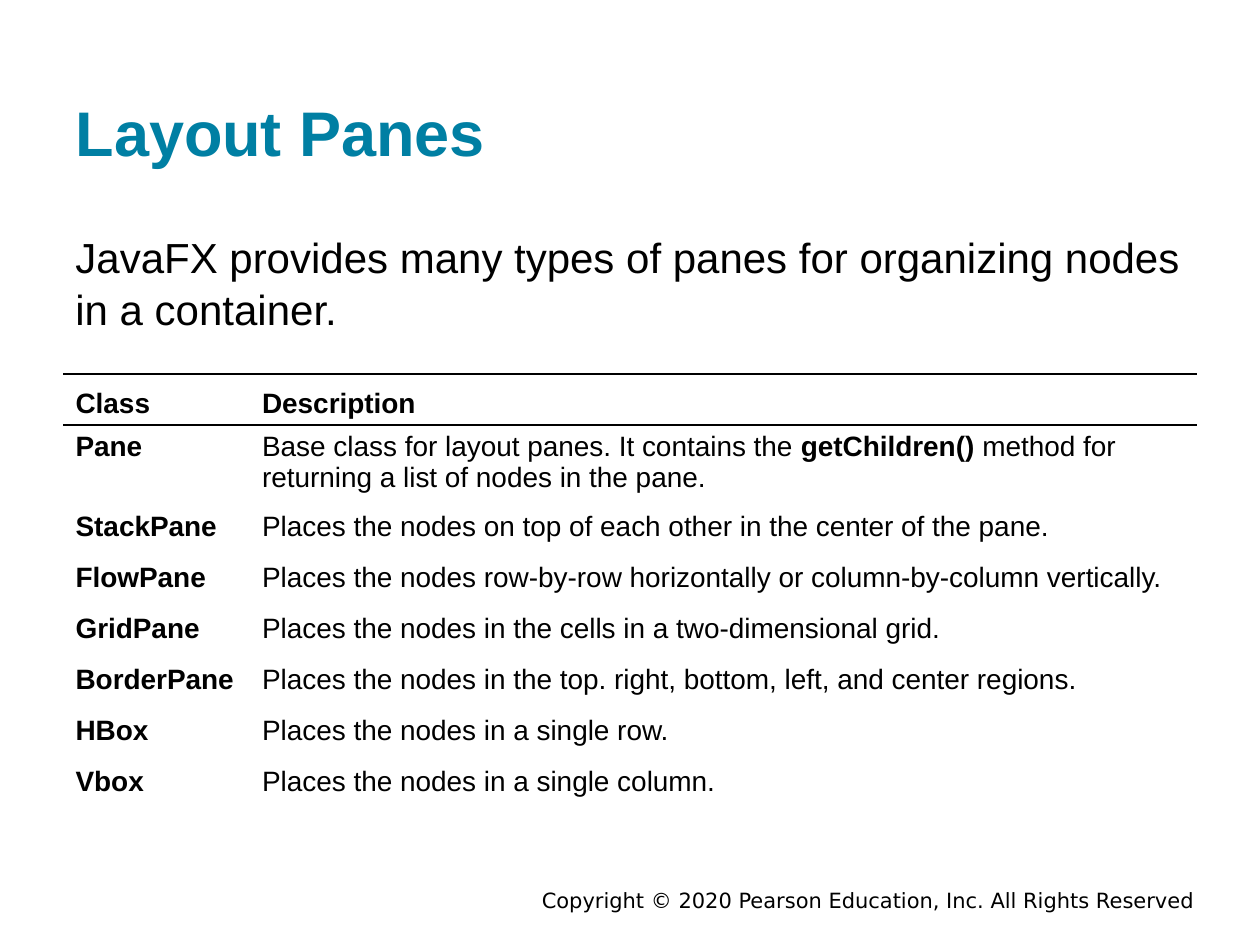
from lxml.etree import SubElement
from pptx import Presentation
from pptx.dml.color import RGBColor as RGB
from pptx.enum.text import MSO_ANCHOR as ANCHOR, PP_ALIGN as ALIGN
from pptx.oxml.ns import qn
from pptx.util import Inches, Pt

COLORS = {"title": "007FA3", "text": "000000", "paper": "FFFFFF"}
ROWS = [
    ("Class", "Description"),
    ("Pane", "Base class for layout panes. It contains the **getChildren() **method for"
             "\vreturning a list of nodes in the pane."),
    ("StackPane", "Places the nodes on top of each other in the center of the pane."),
    ("FlowPane", "Places the nodes row-by-row horizontally or column-by-column vertically."),
    ("GridPane", "Places the nodes in the cells in a two-dimensional grid."),
    ("BorderPane", "Places the nodes in the top. right, bottom, left, and center regions."),
    ("HBox", "Places the nodes in a single row."),
    ("Vbox", "Places the nodes in a single column."),
]
LEFT, WIDTH = Inches(0.5), Inches(9)
ROW_H = Inches(0.405)


def set_font(p, size, color="text", name="Arial", bold=False):
    p.font.size, p.font.name, p.font.bold = Pt(size), name, bold
    p.font.color.rgb = RGB.from_string(COLORS[color])


def set_borders(cell, ruled):
    """Black rules on the sides named in ruled, no line elsewhere."""
    pr = cell._tc.get_or_add_tcPr()
    for i, side in enumerate("LRTB"):
        ln = SubElement(pr, qn(f"a:ln{side}"), w=str(Pt(1)))
        if side in ruled:
            fill = SubElement(ln, qn("a:solidFill"))
            SubElement(fill, qn("a:srgbClr"), val=COLORS["text"])
        else:
            SubElement(ln, qn("a:noFill"))
        pr.insert(i, ln)


prs = Presentation()
prs.slide_width, prs.slide_height = Inches(10), Inches(7.5)
s = prs.slides.add_slide(prs.slide_layouts[5])

# Title
title = s.shapes.title
title.left, title.top, title.width, title.height = LEFT, Inches(0.24), WIDTH, Inches(1.2)
title.text = "Layout Panes"

# Introduction
intro = s.shapes.add_textbox(LEFT, Inches(1.72), Inches(9.15), Inches(1.04))
intro.text_frame.text = ("JavaFX provides many types of panes for organizing nodes "
                         "in a container.")

for sp, anchor, size, color in ((title, ANCHOR.BOTTOM, 36, "title"),
                                (intro, ANCHOR.TOP, 24, "text")):
    tf = sp.text_frame
    tf.word_wrap, tf.vertical_anchor = True, anchor
    tf.margin_top = tf.margin_bottom = Inches(0.1)
    tf.paragraphs[0].alignment = ALIGN.LEFT
    set_font(tf.paragraphs[0], size, color, bold=sp is title)
intro.text_frame.paragraphs[0].line_spacing = 1.04

# Table of panes
table = s.shapes.add_table(len(ROWS), 2, LEFT, Inches(2.97), WIDTH, ROW_H * len(ROWS)).table
table.horz_banding = False
table.columns[0].width = Inches(1.48)
table.columns[1].width = WIDTH - Inches(1.48)
for i, row in enumerate(ROWS):
    table.rows[i].height = Inches(0.6) if "\v" in row[1] else ROW_H
    for j, text in enumerate(row):
        cell = table.cell(i, j)
        cell.fill.solid()
        cell.fill.fore_color.rgb = RGB.from_string(COLORS["paper"])
        cell.vertical_anchor = ANCHOR.BOTTOM if i == 0 else ANCHOR.TOP
        set_borders(cell, {0: "TB", 1: "T"}.get(i, ""))
        p = cell.text_frame.paragraphs[0]
        set_font(p, 16, bold=i == 0 or j == 0)
        # Text between double asterisks is bold
        for k, part in enumerate(text.split("**")):
            for n, line in enumerate(part.split("\v")):
                if n:
                    p.add_line_break()
                r = p.add_run()
                r.text = line
                if k % 2:
                    r.font.bold = True

# Copyright line
footer = s.shapes.add_textbox(Inches(1.75), Inches(7.03), Inches(7.83), Inches(0.22))
tf = footer.text_frame
tf.word_wrap, tf.vertical_anchor = True, ANCHOR.MIDDLE
tf.text = "Copyright © 2020 Pearson Education, Inc. All Rights Reserved"
tf.paragraphs[0].alignment = ALIGN.RIGHT
set_font(tf.paragraphs[0], 12, name="DejaVu Sans")

prs.save("out.pptx")
